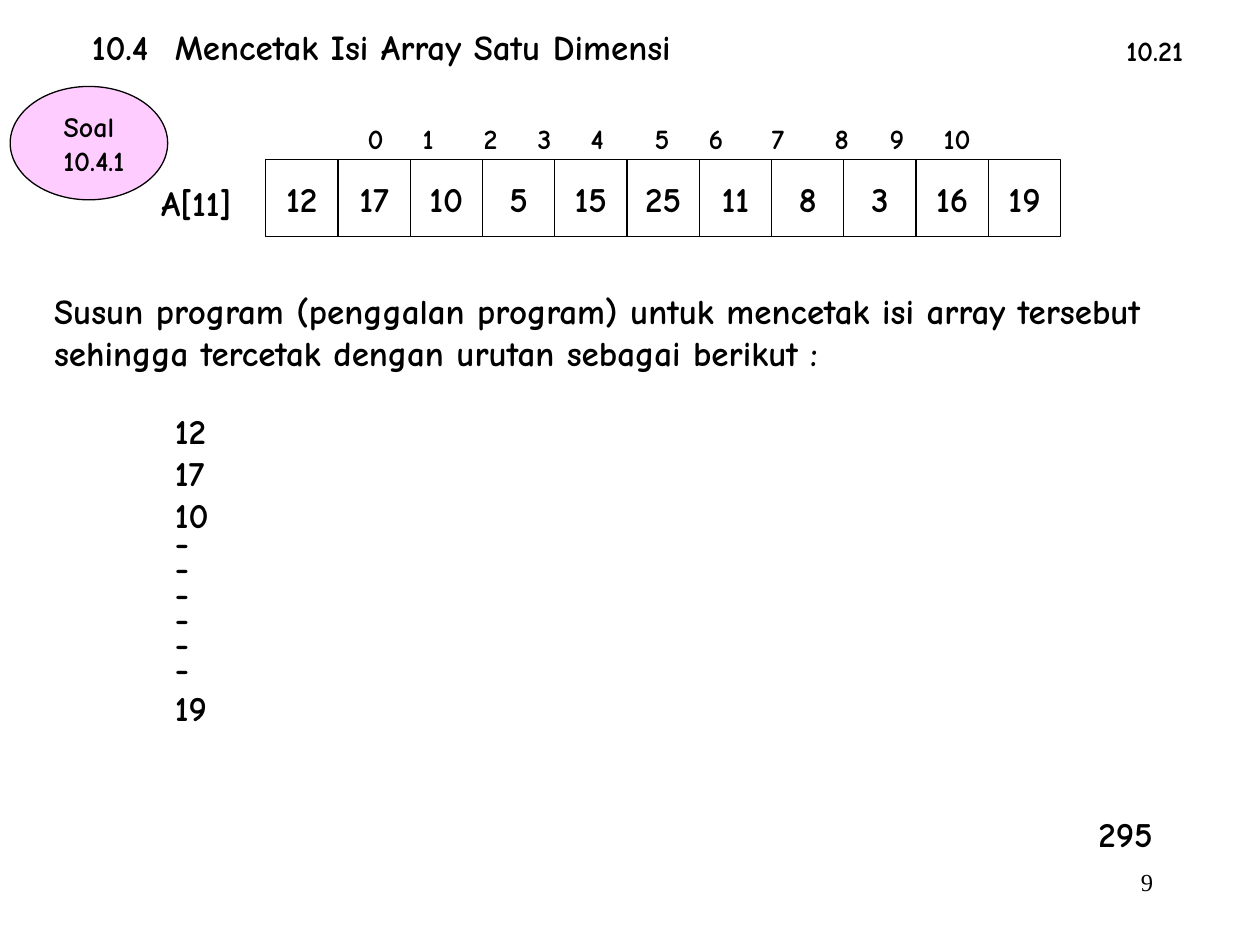
from dataclasses import dataclass
from typing import Optional

from lxml import etree
from pptx import Presentation
from pptx.dml.color import RGBColor
from pptx.enum.shapes import MSO_SHAPE
from pptx.enum.text import MSO_ANCHOR, PP_ALIGN
from pptx.oxml.ns import qn
from pptx.util import Pt

RECT, OVAL = MSO_SHAPE.RECTANGLE, MSO_SHAPE.OVAL
LEFT, CENTER, RIGHT = PP_ALIGN.LEFT, PP_ALIGN.CENTER, PP_ALIGN.RIGHT
TOP, MIDDLE = MSO_ANCHOR.TOP, MSO_ANCHOR.MIDDLE

VALUES = (12, 17, 10, 5, 15, 25, 11, 8, 3, 16, 19)
CELL_LEFT, CELL_TOP, CELL_W, CELL_H = 151.8, 91.2, 41.3, 44
INDEX_TABS = (31.4, 66.3, 97.1, 127.4, 164, 194.9, 230.9, 266.9, 298.3, 329.1)


@dataclass
class Label:
    left: float
    top: float
    width: float
    height: float
    lines: tuple[str, ...]
    size: float = 20
    font: str = "Comic Neue"
    bold: bool = True
    align: PP_ALIGN = LEFT
    right_inset: float = 0
    tabs: tuple[float, ...] = ()


@dataclass
class Node(Label):
    shape: MSO_SHAPE = RECT
    fill: Optional[str] = None


def rgb(value: str) -> RGBColor:
    return RGBColor.from_string(value)


def add_tabs(p, stops: tuple[float, ...]) -> None:
    tab_list = etree.SubElement(p._p.get_or_add_pPr(), qn("a:tabLst"))
    for stop in stops:
        etree.SubElement(tab_list, qn("a:tab"), pos=str(Pt(stop)), algn="l")


def write(sp, item: Label, anchor: MSO_ANCHOR, wrap: bool) -> None:
    tf = sp.text_frame
    frame = {
        "margin_left": Pt(7.2), "margin_right": Pt(item.right_inset),
        "margin_top": Pt(3.6), "margin_bottom": Pt(3.6),
        "vertical_anchor": anchor, "word_wrap": wrap,
    }
    for name, value in frame.items():
        setattr(tf, name, value)
    for i, line in enumerate(item.lines):
        p = tf.paragraphs[0] if i == 0 else tf.add_paragraph()
        p.alignment = item.align
        if line == "-":
            p.line_spacing = 0.6
        if item.tabs:
            add_tabs(p, item.tabs)
        r = p.add_run()
        r.text = line
        style = {"name": item.font, "size": Pt(item.size), "bold": item.bold}
        for name, value in style.items():
            setattr(r.font, name, value)
        r.font.color.rgb = rgb("000000")


def bounds(item: Label) -> list[Pt]:
    return [Pt(v) for v in (item.left, item.top, item.width, item.height)]


def add_label(s, item: Label) -> None:
    write(s.shapes.add_textbox(*bounds(item)), item, TOP, True)


def add_node(s, item: Node) -> None:
    sp = s.shapes.add_shape(item.shape, *bounds(item))
    sp.shadow.inherit = False
    if item.fill:
        sp.fill.solid()
        sp.fill.fore_color.rgb = rgb(item.fill)
    else:
        sp.fill.background()
    sp.line.color.rgb = rgb("000000")
    sp.line.width = Pt(0.75)
    write(sp, item, MIDDLE, False)


LABELS = (
    Label(23.8, 162, 653.8, 55.4, (
        "Susun program (penggalan program) untuk mencetak isi array tersebut "
        "sehingga tercetak dengan urutan sebagai berikut :",), right_inset=7.2),
    Label(92.9, 230.4, 33.8, 190, ("12", "17", "10") + ("-",) * 6 + ("19",)),
    Label(203, 66.2, 358.6, 26.6,
          ("\t".join(str(i) for i in range(len(VALUES))),), 16, tabs=INDEX_TABS),
    Label(45.4, 10.8, 345.6, 31.7,
          ("10.4\tMencetak Isi Array Satu Dimensi",), tabs=(47.4,)),
    Label(636.5, 15.8, 46.8, 26.6, ("10.21",), 16),
    Label(85, 100.1, 54.7, 31.7, ("A[11]",)),
    Label(620.6, 460.8, 45.4, 31.7, ("295",)),
    Label(516.2, 491.8, 149.8, 36, ("9",), 14, "Times New Roman", False,
          RIGHT, 7.2),
)


def main() -> None:
    prs = Presentation()
    prs.slide_width, prs.slide_height = Pt(720), Pt(540)
    s = prs.slides.add_slide(prs.slide_layouts[6])
    for i, value in enumerate(VALUES):
        add_node(s, Node(CELL_LEFT + i * CELL_W, CELL_TOP, CELL_W, CELL_H,
                         (str(value),), align=CENTER, right_inset=7.2))
    add_node(s, Node(5.8, 49.4, 90, 64.8, ("Soal", " 10.4.1"), 16,
                     align=CENTER, right_inset=7.2, shape=OVAL, fill="FFCCFF"))
    for label in LABELS:
        add_label(s, label)
    prs.save("out.pptx")


if __name__ == "__main__":
    main()
